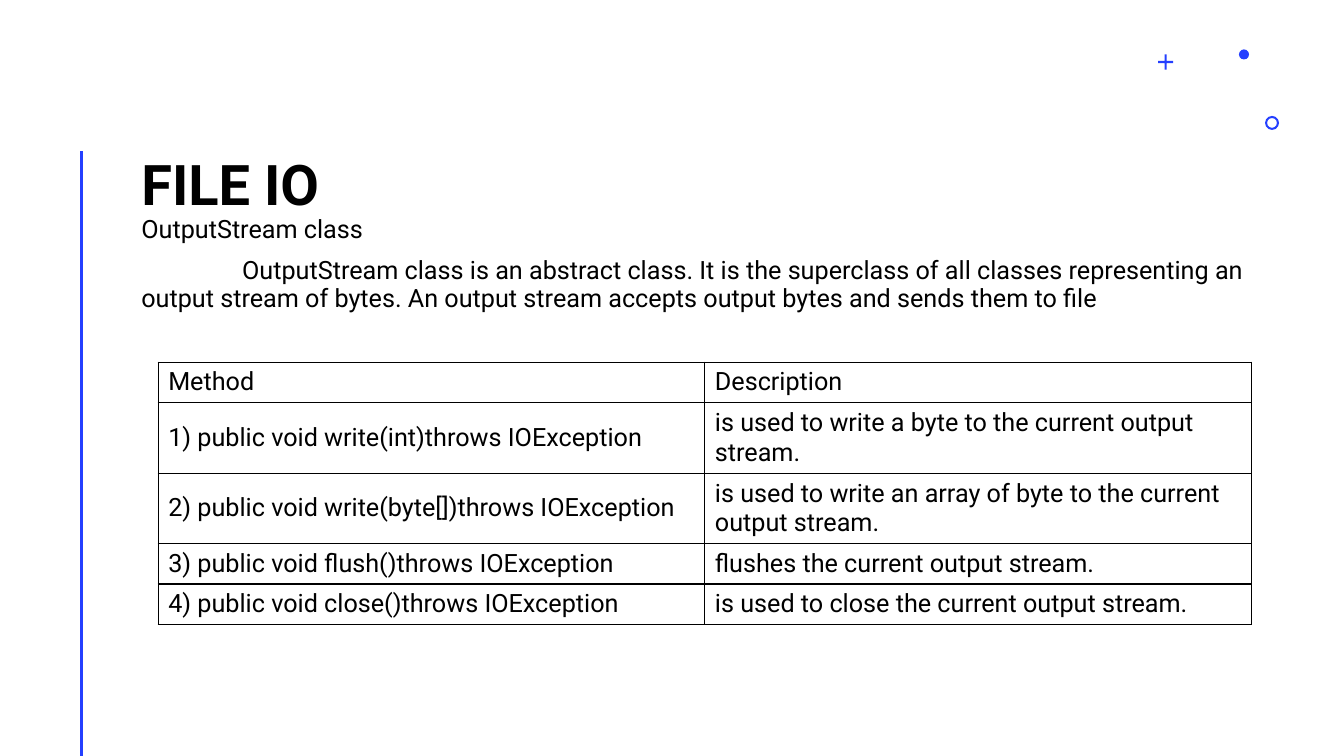
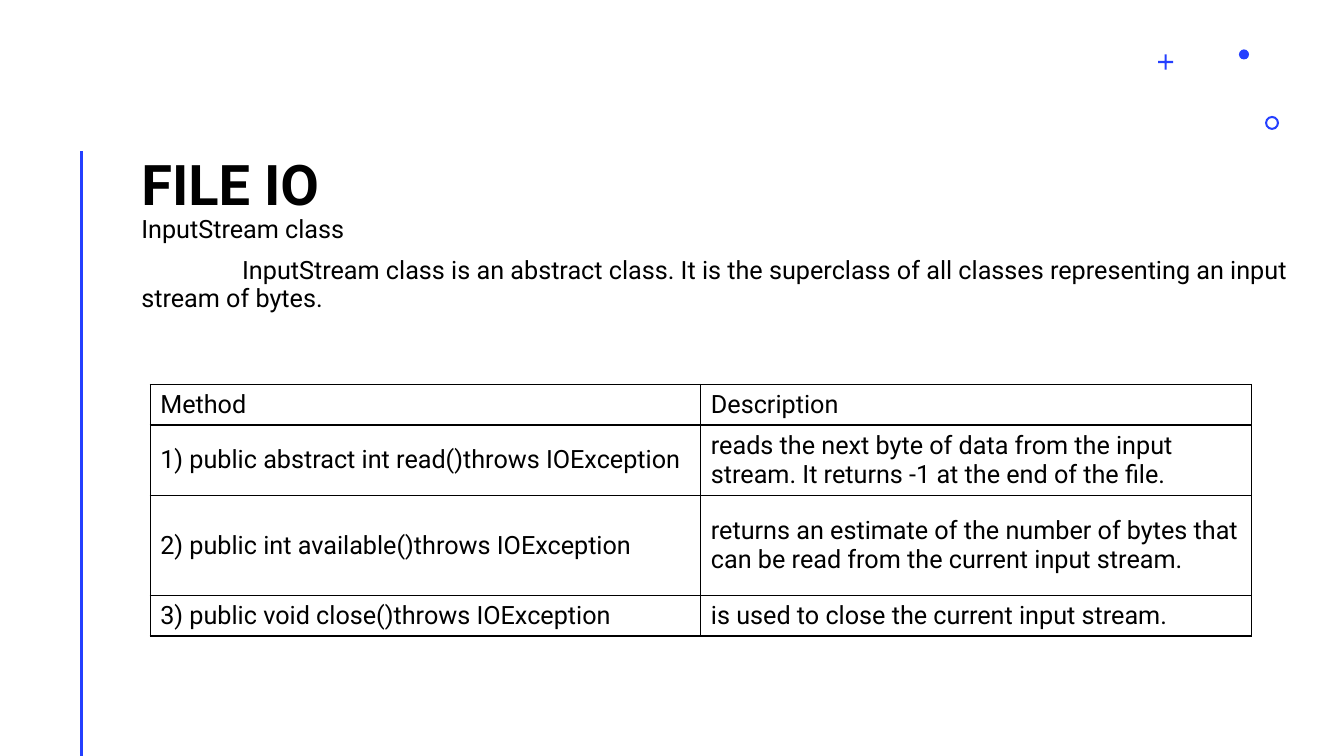
import pptx
import pptx.util
import pptx.dml.color
import pptx.enum.shapes
import pptx.enum.text
import pptx.oxml
import pptx.oxml.ns

Pt = pptx.util.Pt
RGB = pptx.dml.color.RGBColor.from_string
KIND = pptx.enum.shapes.MSO_SHAPE
ANCHOR = pptx.enum.text.MSO_ANCHOR
COLORS = {"ink": "000000", "blue": "243FFF"}
FONT = "Roboto"

# Ornaments: kind, left, top, side, adjustment
MARKS = [
    (KIND.CROSS, 827.2, 38.9, 10.8, 0.43),
    (KIND.DONUT, 903.6, 82.8, 10, 0.15),
    (KIND.OVAL, 885, 35.3, 7.2, None),
]

HEAD = ("Method", "Description")
PAGES = [
    {
        "lead": "OutputStream class",
        "body": "OutputStream class is an abstract class. It is the superclass of all classes "
                "representing an output stream of bytes. An output stream accepts output bytes "
                "and sends them to file",
        "left": 113, "top": 258.7, "width": 781,
        "highs": [28.2, 49.4, 49.4, 28.2, 28.2],
        "rows": [
            HEAD,
            ("1) public void write(int)throws IOException",
             "is used to write a byte to the current output stream."),
            ("2) public void write(byte[])throws IOException",
             "is used to write an array of byte to the current output stream."),
            ("3) public void flush()throws IOException",
             "flushes the current output stream."),
            ("4) public void close()throws IOException",
             "is used to close the current output stream."),
        ],
    },
    {
        "lead": "InputStream class",
        "body": "InputStream class is an abstract class. It is the superclass of all classes "
                "representing an input stream of bytes.",
        "left": 107.3, "top": 274.7, "width": 786.7,
        "highs": [28.6, 49.8, 71.5, 28.6],
        "rows": [
            HEAD,
            ("1) public abstract int read()throws IOException",
             "reads the next byte of data from the input stream. "
             "It returns -1 at the end of the file."),
            ("2) public int available()throws IOException",
             "returns an estimate of the number of bytes that can be read "
             "from the current input stream."),
            ("3) public void close()throws IOException",
             "is used to close the current input stream."),
        ],
    },
]


def write(par, text, size=18, bold=False, space=None, before=None, indent=0):
    """Fill one paragraph with formatted text."""
    run = par.add_run()
    run.text = text
    run.font.name = FONT
    run.font.size = Pt(size)
    run.font.bold = bold
    run.font.color.rgb = RGB(COLORS["ink"])
    if space is not None:
        par.line_spacing = space
    if before is not None:
        par.space_before = Pt(before)
    if indent:
        par._p.get_or_add_pPr().set("indent", str(Pt(indent)))


def frame(slide, left, top, width, height, anchor):
    """Add a wrapping text box without margins."""
    box = slide.shapes.add_textbox(Pt(left), Pt(top), Pt(width), Pt(height))
    area = box.text_frame
    area.word_wrap = True
    area.vertical_anchor = anchor
    area.margin_left = area.margin_right = area.margin_top = area.margin_bottom = 0
    return area


deck = pptx.Presentation()
deck.slide_width, deck.slide_height = Pt(960), Pt(540)

for page in PAGES:
    slide = deck.slides.add_slide(deck.slide_layouts[6])

    # Side rule
    rule = slide.shapes.add_connector(
        pptx.enum.shapes.MSO_CONNECTOR.STRAIGHT, Pt(58.3), Pt(108), Pt(58.3), Pt(540))
    rule.line.color.rgb = RGB(COLORS["blue"])
    rule.line.width = Pt(2)
    rule._element.spPr.append(pptx.oxml.parse_xml(
        f'<a:effectLst {pptx.oxml.ns.nsdecls("a")}/>'))

    # Corner ornaments
    for kind, left, top, side, adjust in MARKS:
        mark = slide.shapes.add_shape(kind, Pt(left), Pt(top), Pt(side), Pt(side))
        mark.shadow.inherit = False
        mark.fill.solid()
        mark.fill.fore_color.rgb = RGB(COLORS["blue"])
        mark.line.fill.background()
        if adjust:
            mark.adjustments[0] = adjust

    # Title and body
    title = frame(slide, 101, 54, 719, 101, ANCHOR.BOTTOM)
    write(title.paragraphs[0], "FILE IO", size=40, bold=True, space=Pt(40))
    body = frame(slide, 101, 155, 842, 346, ANCHOR.TOP)
    write(body.paragraphs[0], page["lead"], space=0.9, before=10)
    write(body.add_paragraph(), page["body"], space=0.9, before=10, indent=72)

    # Method table
    rows, highs = page["rows"], page["highs"]
    grid = slide.shapes.add_table(
        len(rows), len(HEAD), Pt(page["left"]), Pt(page["top"]),
        Pt(page["width"]), Pt(sum(highs))).table
    grid.first_row = grid.horz_banding = False
    for r, (row, high) in enumerate(zip(rows, highs)):
        grid.rows[r].height = Pt(high)
        for c, text in enumerate(row):
            cell = grid.cell(r, c)
            cell.vertical_anchor = ANCHOR.MIDDLE
            cell.fill.background()
            write(cell.text_frame.paragraphs[0], text)
            for i, edge in enumerate(("lnL", "lnR", "lnT", "lnB")):
                cell._tc.get_or_add_tcPr().insert(i, pptx.oxml.parse_xml(
                    f'<a:{edge} {pptx.oxml.ns.nsdecls("a")} w="{Pt(1)}"><a:solidFill>'
                    f'<a:srgbClr val="{COLORS["ink"]}"/></a:solidFill></a:{edge}>'))

deck.save("out.pptx")
